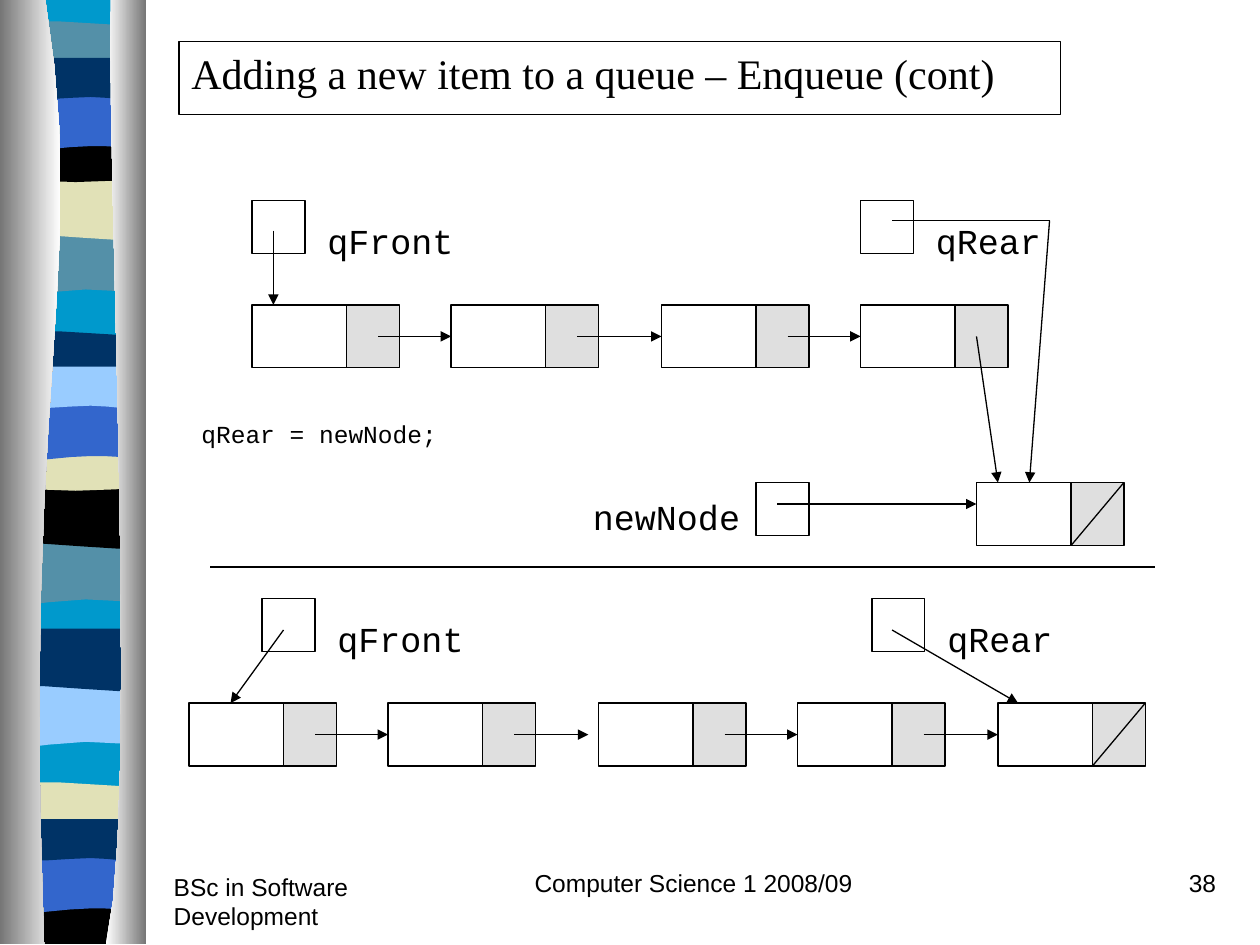
from lxml import etree
from pptx import Presentation
from pptx import util as u
from pptx.dml.color import RGBColor
from pptx.enum import shapes, text
from pptx.oxml import ns

BLACK = RGBColor(0x00, 0x00, 0x00)
WHITE = RGBColor(0xFF, 0xFF, 0xFF)
GREY = RGBColor(0x76, 0x76, 0x76)
SILVER = RGBColor(0xC0, 0xC0, 0xC0)
CYAN = RGBColor(0x00, 0x99, 0xCC)
TEAL = RGBColor(0x54, 0x90, 0xA8)
SAND = RGBColor(0xE1, 0xE1, 0xB7)
BLUE = RGBColor(0x33, 0x66, 0xCC)
NAVY = RGBColor(0x00, 0x33, 0x66)
SKY = RGBColor(0x99, 0xCC, 0xFF)

DATA_W, LINK_W, NODE_H, BOX = 0.75, 0.42, 0.5, 0.42
PP = text.PP_ALIGN

# Band outlines, relative to the top right corner's height:
# two numbers are a line, six are a cubic curve
R, L = 1.14, 0.06
DIP = [(R, 0), (R, 0.47), (0.39, 0.39, 0.24, 0.55, L, 0.47), (L, 0)]
SWELL = [(R, 0), (R, 0.47), (0.96, 0.55, 0.39, 0.41, L, 0.47), (L, 0)]
THIN = [(R, 0), (R, 0.24), (0.96, 0.28, 0.24, 0.28, L, 0.24), (L, 0),
        (0.12, -0.05, 0.29, -0.04, 0.47, -0.04), (R, 0)]
BOWL = [(R, 0), (R, 0.32), (0.96, 0.38, 0.24, 0.38, L, 0.32), (L, 0)]
ARCH = [(R, 0), (R, 0.47), (0.97, 0.42, 0.9, 0.42, 0.72, 0.42),
        (0.54, 0.42, 0.22, 0.47, L, 0.47), (L, 0)]
RIPPLE = [(R, 0), (R, 0.31), (1.07, 0.36, 0.9, 0.31, 0.72, 0.31),
          (0.54, 0.31, 0.17, 0.36, L, 0.31), (L, 0)]
FOOT = [(R, 0), (R, 0.37), (L, 0.37), (L, 0)]

BANDS = [
    (DIP, 1.85, TEAL), (SWELL, 1.41, SAND), (THIN, 0.21, TEAL),
    (BOWL, 1.08, BLACK), (ARCH, 0.74, BLUE), (RIPPLE, 0.46, NAVY),
    (DIP, 4.31, TEAL), (SWELL, 3.86, BLACK), (THIN, 2.67, NAVY),
    (BOWL, 3.53, SAND), (ARCH, 3.2, BLUE), (RIPPLE, 2.91, SKY),
    (DIP, 5.44, SKY), (SWELL, 4.99, NAVY), (THIN, 6.25, SAND),
    (FOOT, 7.12, BLACK), (ARCH, 6.79, BLUE), (RIPPLE, 6.5, NAVY),
]
LEFT_EDGE = [(0.36, 0), (0.71, 2.16, 0.17, 2.96, 0.35, 7.49), (0, 7.49), (0, 0)]
RIGHT_EDGE = [(0.88, 0), (0.84, 1.25, 1.11, 6.46, 0.84, 7.49), (1.16, 7.49), (1.16, 0)]


def flatten(outline, steps):
    """Turn lines and cubic curves into a list of points."""
    pts = []
    for seg in outline:
        if len(seg) == 2:
            pts.append(seg)
            continue
        ctrl = [pts[-1], seg[:2], seg[2:4], seg[4:]]
        for i in range(1, steps + 1):
            t = i / steps
            weights = ((1 - t) ** 3, 3 * t * (1 - t) ** 2, 3 * t * t * (1 - t), t ** 3)
            pts.append(tuple(sum(w * c[k] for w, c in zip(weights, ctrl)) for k in (0, 1)))
    return pts


def write(tf, words, font="Courier New", size=20, align=PP.LEFT):
    tf.word_wrap = True
    tf.vertical_anchor = text.MSO_ANCHOR.TOP
    p = tf.paragraphs[0]
    p.alignment = align
    r = p.add_run()
    r.text = words
    r.font.name, r.font.size, r.font.color.rgb = font, u.Pt(size), BLACK


class Sketch:
    def __init__(self, slide, line=BLACK, weight=0.75):
        self.s, self.line, self.weight = slide, line, weight

    def outline(self, segs, top=0, steps=4):
        pts = [(u.Inches(x), u.Inches(top + y)) for x, y in flatten(segs, steps)]
        fb = self.s.shapes.build_freeform(*pts[0], scale=1.0)
        fb.add_line_segments(pts[1:], close=True)
        sp = fb.convert_to_shape()
        sp.shadow.inherit = False
        sp.line.fill.background()
        return sp

    def band(self, segs, top, color):
        sp = self.outline(segs, top)
        sp.fill.solid()
        sp.fill.fore_color.rgb = color

    def edge(self, segs, *colors):
        fill = self.outline(segs, steps=12).fill
        fill.gradient()
        fill.gradient_angle = 0
        for stop, color, place in zip(fill.gradient_stops, colors, (0, 1)):
            stop.color.rgb, stop.position = color, place

    def rect(self, x, y, w, h, shaded=False):
        sp = self.s.shapes.add_shape(shapes.MSO_SHAPE.RECTANGLE, *map(u.Inches, (x, y, w, h)))
        sp.shadow.inherit = False
        sp.line.color.rgb, sp.line.width = self.line, u.Pt(self.weight)
        if shaded:
            sp.fill.solid()
            sp.fill.fore_color.rgb = SILVER
            color = sp._element.spPr.find(ns.qn("a:solidFill")).find(ns.qn("a:srgbClr"))
            etree.SubElement(color, ns.qn("a:alpha"), val="50000")
        else:
            sp.fill.background()
        return sp

    def node(self, x, y, last=False):
        data = self.rect(x, y, DATA_W, NODE_H)
        link = x + DATA_W
        self.rect(link, y, LINK_W, NODE_H, shaded=True)
        if last:
            self.connect(link, y + NODE_H, link + LINK_W, y, arrow=False)
        return data

    def connect(self, x1, y1, x2, y2, arrow=True, target=None):
        c = self.s.shapes.add_connector(
            shapes.MSO_CONNECTOR.STRAIGHT, *map(u.Inches, (x1, y1, x2, y2)))
        c.line.color.rgb, c.line.width = self.line, u.Pt(self.weight)
        if arrow:
            ln = c._element.spPr.find(ns.qn("a:ln"))
            etree.SubElement(ln, ns.qn("a:tailEnd"), type="triangle")
        etree.SubElement(c._element.spPr, ns.qn("a:effectLst"))
        if target is not None:
            c.end_connect(target, 1)

    def label(self, words, x, y, w, h=0.42, **style):
        tb = self.s.shapes.add_textbox(*map(u.Inches, (x, y, w, h)))
        write(tb.text_frame, words, **style)

    def queue(self, xs, y, front, rear, closed=False, gaps=()):
        """Linked nodes with their two pointer boxes; links listed in gaps stop short."""
        mid = y + NODE_H / 2
        nodes = [self.node(x, y, last=closed and x == xs[-1]) for x in xs]
        for i, x in enumerate(xs[:-1]):
            if i in gaps:
                self.connect(x + 1, mid, xs[i + 1] - 0.08, mid)
            else:
                self.connect(x + 1, mid, xs[i + 1], mid, target=nodes[i + 1])
        for x, name in ((front, "qFront"), (rear, "qRear")):
            self.rect(x, y - 0.83, BOX, BOX)
            self.label(name, x + 0.5, y - 0.73, 1.4)


def main():
    prs = Presentation()
    prs.slide_width, prs.slide_height = u.Inches(10), u.Inches(7.5)
    s = Sketch(prs.slides.add_slide(prs.slide_layouts[6]))

    # Side ribbon
    s.band([(R, 0), (R, 7.47), (L, 7.47), (L, 0)], 0, CYAN)
    for band in BANDS:
        s.band(*band)
    s.edge(LEFT_EDGE, GREY, WHITE)
    s.edge(RIGHT_EDGE, WHITE, GREY)

    # Title
    title = s.rect(1.42, 0.33, 7, 0.58)
    write(title.text_frame, "Adding a new item to a queue – Enqueue (cont)",
          font="Times New Roman", size=24)

    # Queue while the new node is being attached
    s.queue((2, 3.58, 5.25, 6.83), 2.42, front=2, rear=6.83)
    s.connect(2.17, 1.83, 2.17, 2.42)
    s.node(7.75, 3.83, last=True)
    s.rect(6, 3.83, BOX, BOX)
    s.label("newNode", 4.5, 3.88, 1.58, align=PP.CENTER)
    s.connect(6.17, 4, 7.75, 4)
    s.connect(7.75, 2.67, 7.92, 3.83)
    s.connect(7.08, 1.75, 8.33, 1.75, arrow=False)
    s.connect(8.33, 1.75, 8.17, 3.83)
    s.label("qRear = newNode;", 1.5, 3.28, 2.92, 0.34, size=14)

    # Divider
    s.connect(1.67, 4.5, 9.17, 4.5, arrow=False)

    # Finished queue
    s.queue((1.5, 3.08, 4.75, 6.33, 7.92), 5.58, front=2.08, rear=6.92,
            closed=True, gaps=(1,))
    s.connect(2.25, 5, 1.83, 5.58)
    s.connect(7.08, 5, 8.08, 5.58)

    # Footer
    for words, x, y, w, align in (
            ("BSc in Software Development", 1.28, 6.87, 2.08, PP.LEFT),
            ("Computer Science 1 2008/09", 3.92, 6.84, 3.17, PP.CENTER),
            ("38", 7.67, 6.84, 2.08, PP.RIGHT)):
        s.label(words, x, y, w, 0.5, font="Arial", size=14, align=align)

    prs.save("out.pptx")


if __name__ == "__main__":
    main()
